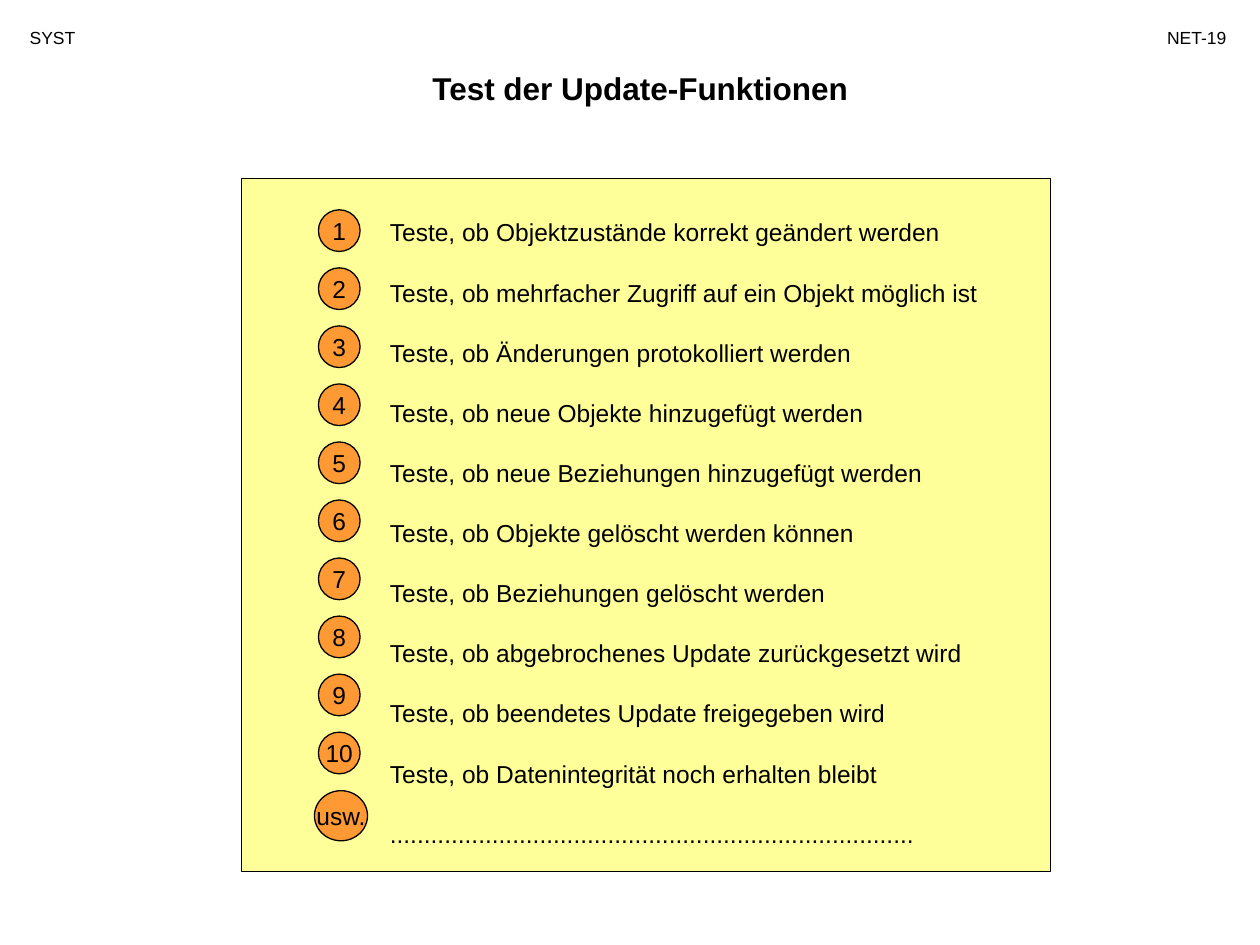
from pptx import Presentation
from pptx.dml.color import RGBColor
from pptx.enum.shapes import MSO_SHAPE
from pptx.enum.text import MSO_ANCHOR, PP_ALIGN
from pptx.util import Cm, Pt

BLACK, YELLOW, ORANGE = "000000", "FFFF99", "FF9933"
CHECKS = [
    "Teste, ob Objektzustände korrekt geändert werden",
    "Teste, ob mehrfacher Zugriff auf ein Objekt möglich ist",
    "Teste, ob Änderungen protokolliert werden",
    "Teste, ob neue Objekte hinzugefügt werden",
    "Teste, ob neue Beziehungen hinzugefügt werden",
    "Teste, ob Objekte gelöscht werden können",
    "Teste, ob Beziehungen gelöscht werden",
    "Teste, ob abgebrochenes Update zurückgesetzt wird",
    "Teste, ob beendetes Update freigegeben wird",
    "Teste, ob Datenintegrität noch erhalten bleibt",
    "." * 77,
]


def color(value):
    return RGBColor.from_string(value)


def style(paragraph, size, align=PP_ALIGN.LEFT, bold=False):
    paragraph.alignment = align
    paragraph.font.name = "Arial"
    paragraph.font.size = Pt(size)
    paragraph.font.bold = bold
    paragraph.font.color.rgb = color(BLACK)


def add_text(slide, box, lines, size, align=PP_ALIGN.LEFT, bold=False, gap=0):
    frame = slide.shapes.add_textbox(*map(Cm, box)).text_frame
    frame.word_wrap = True
    for index, line in enumerate(lines):
        paragraph = frame.add_paragraph() if index else frame.paragraphs[0]
        paragraph.text = line
        if index:
            paragraph.space_before = Pt(gap)
        style(paragraph, size, align, bold)


def add_filled(slide, kind, box, fill):
    shape = slide.shapes.add_shape(kind, *map(Cm, box))
    shape.shadow.inherit = False
    shape.fill.solid()
    shape.fill.fore_color.rgb = color(fill)
    shape.line.color.rgb = color(BLACK)
    shape.line.width = Pt(0.75)
    return shape


def add_badge(slide, box, label):
    frame = add_filled(slide, MSO_SHAPE.OVAL, box, ORANGE).text_frame
    frame.word_wrap = False
    frame.vertical_anchor = MSO_ANCHOR.MIDDLE
    frame.text = label
    style(frame.paragraphs[0], 14, PP_ALIGN.CENTER)


def add_header(slide, left, top, width):
    # Course code, page number and title
    add_text(slide, (left, top, 2.84, 0.69), ["SYST"], 10)
    add_text(slide, (left + width - 2.6, top, 2.6, 0.69), ["NET-19"], 10, PP_ALIGN.RIGHT)
    add_text(slide, (left + 3.25, top + 0.84, 18.62, 1.02),
             ["Test der Update-Funktionen"], 18, PP_ALIGN.CENTER, bold=True)


def add_checklist(slide, left, top, width, height):
    # Panel with the list of checks
    add_filled(slide, MSO_SHAPE.RECTANGLE, (left, top, width, height), YELLOW)
    add_text(slide, (left + 2.74, top + 0.66, 13.34, 12.73), CHECKS, 14, gap=17.55)

    # Numbered badges, closed by a larger one
    pitch, size = 1.17, 0.84
    for index in range(len(CHECKS) - 1):
        add_badge(slide, (left + 1.55, top + 0.63 + index * pitch, size, size), str(index + 1))
    add_badge(slide, (left + 1.47, top + 12.34, 1.07, 1.01), "usw.")


def main():
    presentation = Presentation()
    presentation.slide_width, presentation.slide_height = Cm(25.4), Cm(19.05)
    slide = presentation.slides.add_slide(presentation.slide_layouts[6])
    add_header(slide, 0.35, 0.43, 24.62)
    add_checklist(slide, 4.87, 3.6, 16.31, 13.97)
    presentation.save("out.pptx")


if __name__ == "__main__":
    main()
